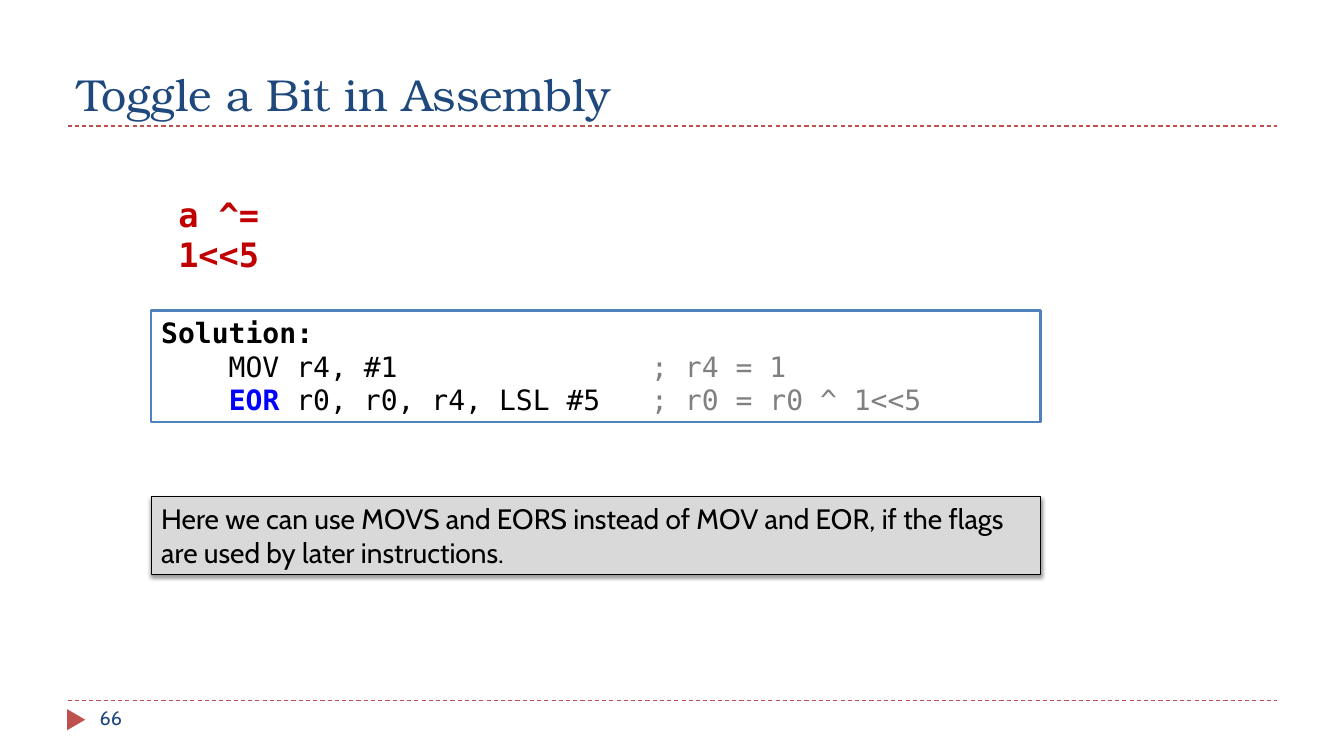
from lxml.etree import SubElement
from pptx import Presentation
from pptx.dml.color import RGBColor
from pptx.enum.dml import MSO_LINE
from pptx.enum.shapes import MSO_CONNECTOR, MSO_SHAPE
from pptx.enum.text import MSO_ANCHOR, MSO_AUTO_SIZE, PP_ALIGN
from pptx.oxml.ns import qn
from pptx.util import Inches, Pt

COLORS = {
    "navy": "1F497D",
    "brick": "C0504D",
    "red": "C00000",
    "blue": "4F81BD",
    "keyword": "0000FF",
    "comment": "808080",
    "panel": "D9D9D9",
    "black": "000000",
    "white": "FFFFFF",
}
HEADING, BODY, CODE = "TeX Gyre Bonum", "Cabin", "DejaVu Sans Mono"


def rgb(color):
    return RGBColor.from_string(COLORS[color])


class LectureSlide:
    def __init__(self, presentation):
        self.slide = presentation.slides.add_slide(presentation.slide_layouts[5])
        self.shapes = self.slide.shapes

    def fill_text(self, frame, lines, font, size, anchor=MSO_ANCHOR.TOP):
        frame.word_wrap = True
        frame.auto_size = MSO_AUTO_SIZE.NONE
        frame.vertical_anchor = anchor
        for index, line in enumerate(lines):
            paragraph = frame.add_paragraph() if index else frame.paragraphs[0]
            paragraph.alignment = PP_ALIGN.LEFT
            for words, color, bold in line:
                run = paragraph.add_run()
                run.text = words
                run.font.name = font
                run.font.size = Pt(size)
                run.font.bold = bold
                run.font.color.rgb = rgb(color)

    def title(self, words, left, top, width, height):
        heading = self.shapes.title
        heading.left, heading.top = Inches(left), Inches(top)
        heading.width, heading.height = Inches(width), Inches(height)
        self.fill_text(heading.text_frame, [[(words, "navy", False)]], HEADING, 32,
                       MSO_ANCHOR.BOTTOM)

    def rule(self, y):
        divider = self.shapes.add_connector(
            MSO_CONNECTOR.STRAIGHT, Inches(0.67), Inches(y), Inches(12.67), Inches(y))
        divider.line.color.rgb = rgb("brick")
        divider.line.width = Pt(0.75)
        divider.line.dash_style = MSO_LINE.DASH
        SubElement(divider._element.spPr, qn("a:effectLst"))

    def marker(self, left, top, width, height):
        arrow = self.shapes.add_shape(
            MSO_SHAPE.ISOSCELES_TRIANGLE,
            Inches(left), Inches(top), Inches(width), Inches(height))
        arrow.rotation = 90
        arrow.shadow.inherit = False
        arrow.fill.solid()
        arrow.fill.fore_color.rgb = rgb("brick")
        arrow.line.fill.background()

    def text(self, words, left, top, width, height, font, size, color, bold=False):
        label = self.shapes.add_textbox(
            Inches(left), Inches(top), Inches(width), Inches(height))
        self.fill_text(label.text_frame, [[(words, color, bold)]], font, size)

    def panel(self, lines, top, height, font, fill, border, border_width):
        panel = self.shapes.add_shape(
            MSO_SHAPE.RECTANGLE, Inches(1.5), Inches(top), Inches(8.82), Inches(height))
        panel.shadow.inherit = False
        panel.fill.solid()
        panel.fill.fore_color.rgb = rgb(fill)
        panel.line.color.rgb = rgb(border)
        panel.line.width = Pt(border_width)
        self.fill_text(panel.text_frame, lines, font, 20)
        return panel

    def drop_shadow(self, panel):
        effects = panel._element.spPr.find(qn("a:effectLst"))
        shadow = SubElement(effects, qn("a:outerShdw"), blurRad=str(Pt(3)),
                            dist=str(Pt(2)), dir="5400000", rotWithShape="0")
        tint = SubElement(shadow, qn("a:srgbClr"), val=COLORS["black"])
        SubElement(tint, qn("a:alpha"), val="40000")


def main():
    presentation = Presentation()
    presentation.slide_width = Inches(13.33)
    presentation.slide_height = Inches(7.5)
    lecture = LectureSlide(presentation)

    for y in (6.95, 1.25):
        lecture.rule(y)
    lecture.marker(0.65, 7.05, 0.21, 0.18)
    lecture.title("Toggle a Bit in Assembly", 0.67, 0.17, 12, 1.08)
    lecture.text("66", 0.89, 6.95, 2.89, 0.4, BODY, 14, "navy")
    lecture.text("a ^= 1<<5", 1.67, 1.87, 1.87, 0.5, CODE, 24, "red", True)

    solution = [
        [("Solution:", "black", True)],
        [("    MOV r4, #1               ", "black", False),
         ("; r4 = 1", "comment", False)],
        [("    ", "black", False),
         ("EOR", "keyword", True),
         (" r0, r0, r4, LSL #5   ", "black", False),
         ("; r0 = r0 ^ 1<<5", "comment", False)],
    ]
    lecture.panel(solution, 3.08, 1.11, CODE, "white", "blue", 1.5)

    flags_note = [[("Here we can use MOVS and EORS instead of MOV and EOR, "
                    "if the flags are used by later instructions.", "black", False)]]
    note_panel = lecture.panel(flags_note, 4.93, 0.77, BODY, "panel", "black", 0.75)
    lecture.drop_shadow(note_panel)

    presentation.save("out.pptx")


if __name__ == "__main__":
    main()
